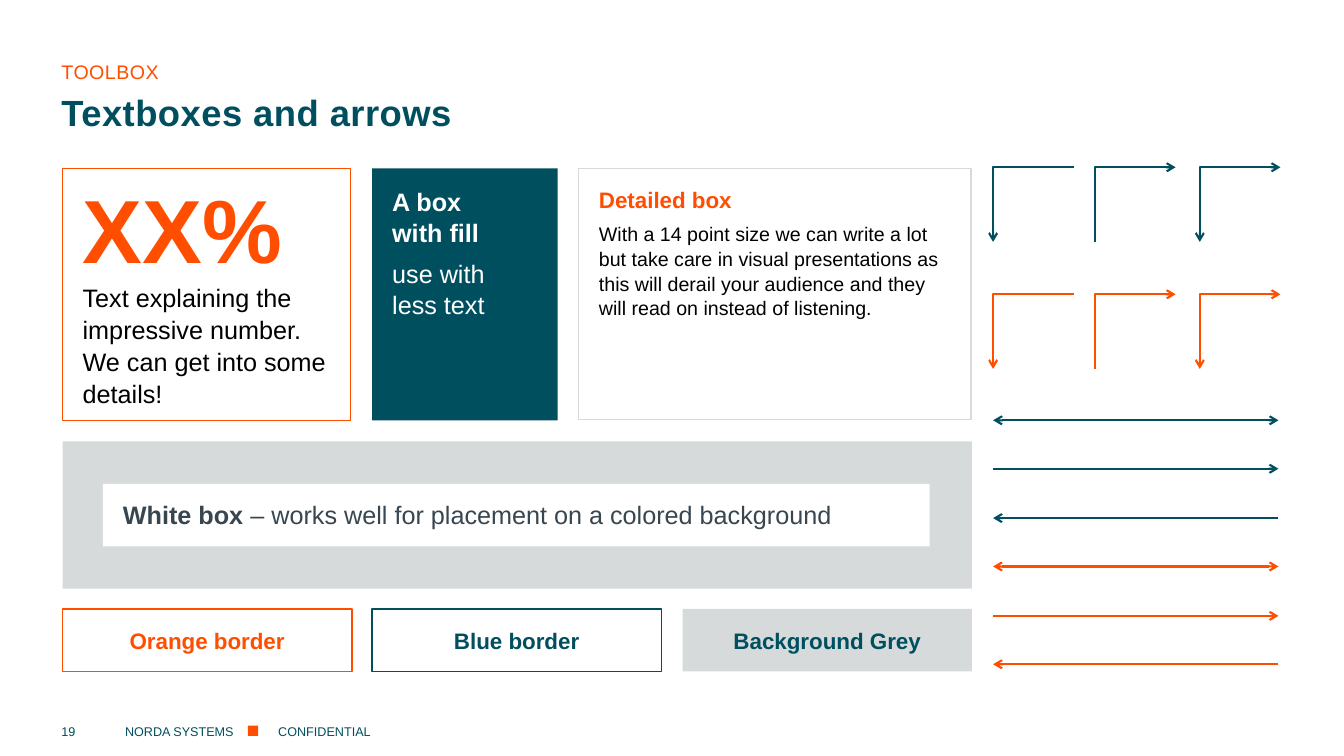
from dataclasses import dataclass, field
from typing import Any, Optional

import pptx
import pptx.dml.color
import pptx.enum.shapes
import pptx.enum.text
import pptx.oxml.ns
import pptx.util
from lxml import etree

PX = 9144  # one px is a hundredth of an inch
ORANGE, TEAL, GREY = "FF4E00", "004F5F", "D6DADB"
BLACK, WHITE, SLATE = "000000", "FFFFFF", "37464F"

ANCHOR = pptx.enum.text.MSO_ANCHOR
ALIGN = pptx.enum.text.PP_ALIGN


@dataclass
class Run:
    text: str
    size: int
    color: str
    bold: bool = False
    spacing: int = 0  # hundredths of a point


@dataclass
class Para:
    runs: list[Run]
    format: dict[str, Any] = field(default_factory=dict)


@dataclass
class Box:
    at: tuple[int, int, int, int]
    paras: list[Para] = field(default_factory=list)
    fill: Optional[str] = None
    line: Optional[str] = None
    insets: tuple[int, int, int, int] = (10, 5, 10, 5)
    anchor: Any = ANCHOR.TOP


@dataclass
class Arrow:
    points: list[tuple[int, int]]
    color: str
    head: bool
    tail: bool


def rgb(color: str) -> pptx.dml.color.RGBColor:
    return pptx.dml.color.RGBColor.from_string(color)


def set_attrs(target: Any, values: dict[str, Any]) -> None:
    for name, value in values.items():
        setattr(target, name, value)


def write_text(tf: Any, box: Box) -> None:
    sides = ("margin_left", "margin_top", "margin_right", "margin_bottom")
    set_attrs(tf, {side: n * PX for side, n in zip(sides, box.insets)})
    set_attrs(tf, {"word_wrap": True, "vertical_anchor": box.anchor})
    for i, para in enumerate(box.paras):
        p = tf.add_paragraph() if i else tf.paragraphs[0]
        set_attrs(p, {"alignment": ALIGN.LEFT} | para.format)
        for run in para.runs:
            for n, part in enumerate(run.text.split("\n")):
                if n:
                    p.add_line_break()
                r = p.add_run()
                r.text = part
                set_attrs(r.font, {"name": "Arial", "size": pptx.util.Pt(run.size),
                                   "bold": run.bold})
                r.font.color.rgb = rgb(run.color)
                if run.spacing:
                    r.font._element.set("spc", str(run.spacing))


def draw_label(s: Any, box: Box) -> None:
    sp = s.shapes.add_textbox(*(n * PX for n in box.at))
    write_text(sp.text_frame, box)


def draw_box(s: Any, box: Box) -> None:
    sp = s.shapes.add_shape(pptx.enum.shapes.MSO_SHAPE.RECTANGLE,
                            *(n * PX for n in box.at))
    sp.shadow.inherit = False
    if box.fill:
        sp.fill.solid()
        sp.fill.fore_color.rgb = rgb(box.fill)
    else:
        sp.fill.background()
    if box.line:
        sp.line.color.rgb = rgb(box.line)
        sp.line.width = pptx.util.Pt(1)
    else:
        sp.line.fill.background()
    write_text(sp.text_frame, box)


def draw_arrow(s: Any, arrow: Arrow) -> None:
    qn = pptx.oxml.ns.qn
    first, *rest = arrow.points
    if len(rest) == 1:
        sp = s.shapes.add_connector(pptx.enum.shapes.MSO_CONNECTOR.STRAIGHT,
                                    *(n * PX for n in first + rest[0]))
    else:
        builder = s.shapes.build_freeform(*first, scale=PX)
        builder.add_line_segments(rest, close=False)
        sp = builder.convert_to_shape()
        sp.fill.background()
    sp.line.color.rgb = rgb(arrow.color)
    sp.line.width = pptx.util.Pt(1.5)
    ln = sp.line._get_or_add_ln()
    for tag, wanted in (("a:headEnd", arrow.head), ("a:tailEnd", arrow.tail)):
        if wanted:
            etree.SubElement(ln, qn(tag), type="arrow")
    etree.SubElement(sp._element.spPr, qn("a:effectLst"))


LOOSE = {"line_spacing": 1.05}
LOOSE_GAP = LOOSE | {"space_after": pptx.util.Pt(6)}
CENTERED = LOOSE | {"alignment": ALIGN.CENTER}
PADDED = (20, 16, 20, 5)

HEADINGS = [
    Box((61, 63, 1210, 24),
        [Para([Run("TOOLBOX", 14, ORANGE, spacing=30)],
              {"line_spacing": pptx.util.Pt(16)})],
        insets=(0, 0, 0, 6), anchor=ANCHOR.MIDDLE),
    Box((61, 83, 1210, 62),
        [Para([Run("Textboxes and arrows", 26, TEAL, True, 30)],
              {"line_spacing": pptx.util.Pt(27)})],
        insets=(0, 0, 0, 12), anchor=ANCHOR.BOTTOM),
]

FOOTER = [
    Box((left, 712, width, 21), [Para([Run(text, 9, TEAL)])],
        insets=(0, 0, 0, 0), anchor=ANCHOR.BOTTOM)
    for left, width, text in ((61, 42, "19"), (124, 108, "NORDA SYSTEMS"),
                              (276, 893, "CONFIDENTIAL"))
]

BOXES = [
    # Footer marker and grey panel
    Box((246, 720, 10, 10), fill=ORANGE),
    Box((62, 438, 902, 146), fill=GREY),
    # Top row
    Box((62, 167, 286, 250), [
        Para([Run("XX%", 64, ORANGE, True)], LOOSE),
        Para([Run("Text explaining the impressive number. "
                  "We can get into some\ndetails!", 18, BLACK)], LOOSE),
    ], line=ORANGE, insets=(20, 0, 10, 5)),
    Box((369, 167, 184, 250), [
        Para([Run("A box\nwith fill", 18, WHITE, True)], LOOSE_GAP),
        Para([Run("use with\nless text", 18, WHITE)], LOOSE_GAP),
    ], fill=TEAL, insets=PADDED),
    Box((574, 167, 389, 249), [
        Para([Run("Detailed box", 16, ORANGE, True)], LOOSE_GAP),
        Para([Run("With a 14 point size we can write a lot but take care in "
                  "visual presentations as this will derail your audience and "
                  "they will read on instead of listening.", 14, BLACK)], LOOSE),
    ], line=GREY, insets=PADDED),
    # White box on the panel
    Box((102, 480, 820, 62), [
        Para([Run("White box ", 18, SLATE, True),
              Run("– works well for placement on a colored background", 18, SLATE)],
             {"line_spacing": pptx.util.Pt(21)}),
    ], fill=WHITE, insets=(20, 16, 10, 5)),
]

# Bottom row
BOXES += [
    Box((left, 604, 287, 62), [Para([Run(text, 16, color, True)], CENTERED)],
        fill=fill, line=line, anchor=ANCHOR.MIDDLE)
    for left, text, color, fill, line in (
        (62, "Orange border", ORANGE, None, ORANGE),
        (369, "Blue border", TEAL, None, TEAL),
        (677, "Background Grey", TEAL, GREY, None))
]

# Elbow arrows: one row per colour
ARROWS = [
    Arrow([(x, y + 74), (x, y), (x + 80, y)], color, head, tail)
    for y, color in ((166, TEAL), (292, ORANGE))
    for x, head, tail in ((985, True, False), (1086, False, True), (1190, True, True))
]

# Straight arrows: three per colour, evenly spaced
ENDS = ((True, True), (False, True), (True, False))
for i in range(6):
    y = 417 + 97 * i // 2
    ARROWS.append(Arrow([(985, y), (1268, y)], (TEAL, ORANGE)[i // 3], *ENDS[i % 3]))


def main() -> None:
    prs = pptx.Presentation()
    set_attrs(prs, {"slide_width": 1333 * PX, "slide_height": 750 * PX})
    s = prs.slides.add_slide(prs.slide_layouts[6])
    for label in HEADINGS + FOOTER:
        draw_label(s, label)
    for box in BOXES:
        draw_box(s, box)
    for arrow in ARROWS:
        draw_arrow(s, arrow)
    prs.save("out.pptx")


if __name__ == "__main__":
    main()
